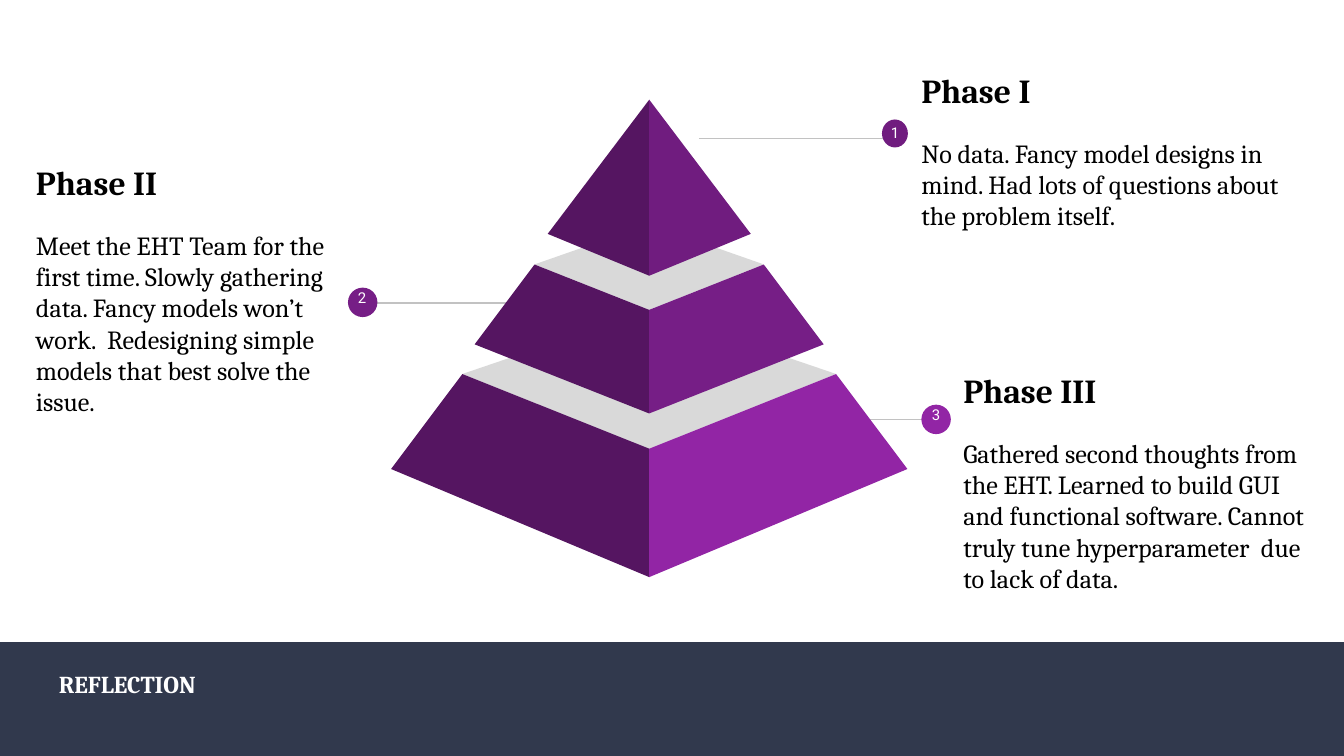
from dataclasses import dataclass

import pptx
import pptx.dml.color
import pptx.enum.shapes
import pptx.enum.text
import pptx.util
from lxml import etree
from pptx.oxml.ns import qn

Pt = pptx.util.Pt
Shape = pptx.enum.shapes.MSO_SHAPE
Anchor = pptx.enum.text.MSO_ANCHOR
Align = pptx.enum.text.PP_ALIGN

Box = tuple[float, float, float, float]
Point = tuple[float, float]

SERIF, SANS = "Cambria", "Roboto"
WHITE, BLACK, NAVY = "FFFFFF", "000000", "31394D"
RULE, LID, SHADE = "C2C2C2", "D9D9D9", "551561"
AXIS = 347.8  # x of the pyramid's centre edge


@dataclass
class Phase:
    number: str
    title: str
    body: str
    text_box: Box
    line: tuple[float, float, float]  # from x, to x, y
    dot: Box
    number_box: Box
    color: str


@dataclass
class Tier:
    """Left halves of the lid and face, as (distance from axis, y)."""
    lid: list[Point]
    face: list[Point]
    color: str


PHASES = [
    Phase("3", "Phase III",
          "Gathered second thoughts from the EHT. Learned to build GUI and functional "
          "software. Cannot truly tune hyperparameter  due to lack of data.",
          (509, 187.2, 198.7, 141.8), (463, 509, 224.7),
          (493.6, 216.8, 15.8, 15.8), (491.8, 212.4, 19.4, 24.5), "9225A5"),
    Phase("2", "Phase II",
          "Meet the EHT Team for the first time. Slowly gathering data. Fancy models "
          "won’t work.  Redesigning simple models that best solve the issue.",
          (12.2, 84.2, 172.8, 141.8), (273.6, 191.5, 162.4),
          (186.4, 154.1, 15.8, 15.8), (184.3, 149.8, 19.4, 24.5), "761E86"),
    Phase("1", "Phase I",
          "No data. Fancy model designs in mind. Had lots of questions about the "
          "problem itself.",
          (486.5, 17.3, 211.7, 126.7), (374.4, 485.3, 74.2),
          (472.5, 64, 13.9, 15), (468, 61.2, 23, 20.2), "701C7F"),
]

TIERS = [
    Tier([(0, 166.3), (100.1, 200.4), (0, 240.4)],
         [(100.1, 200.4), (138.3, 251.3), (0, 309.2), (0, 240.4)], "9225A5"),
    Tier([(0, 120.2), (61.4, 141.7), (0, 166)],
         [(61.4, 141.7), (93.5, 184.5), (0, 221.5), (0, 166)], "761E86"),
    Tier([], [(0, 53.4), (54.4, 125.3), (0, 147.7)], "701C7F"),
]


def rgb(value: str) -> pptx.dml.color.RGBColor:
    return pptx.dml.color.RGBColor.from_string(value)


def paint(sp, color: str) -> None:
    sp.shadow.inherit = False
    sp.fill.solid()
    sp.fill.fore_color.rgb = rgb(color)
    sp.line.fill.background()


def add_shape(s, kind, box: Box, color: str) -> None:
    paint(s.shapes.add_shape(kind, *map(Pt, box)), color)


def add_text_frame(s, box: Box, anchor):
    tf = s.shapes.add_textbox(*map(Pt, box)).text_frame
    margins = {f"margin_{side}": Pt(7.2) for side in ("left", "top", "right", "bottom")}
    for name, value in {"word_wrap": True, "vertical_anchor": anchor, **margins}.items():
        setattr(tf, name, value)
    return tf


def write(p, text: str, size: float, color: str, font: str = SERIF,
          bold: bool = False, after: float = 0, align=Align.LEFT) -> None:
    p.alignment, p.space_after = align, Pt(after)
    r = p.add_run()
    r.text = text
    for name, value in {"size": Pt(size), "name": font, "bold": bold}.items():
        setattr(r.font, name, value)
    r.font.color.rgb = rgb(color)


def add_rule(s, x1: float, x2: float, y: float) -> None:
    line = s.shapes.add_connector(pptx.enum.shapes.MSO_CONNECTOR.STRAIGHT,
                                  Pt(x1), Pt(y), Pt(x2), Pt(y))
    line.line.width = Pt(0.75)
    line.line.color.rgb = rgb(RULE)
    etree.SubElement(line._element.spPr, qn("a:effectLst"))


def add_phase(s, phase: Phase) -> None:
    add_rule(s, *phase.line)
    tf = add_text_frame(s, phase.text_box, Anchor.MIDDLE)
    write(tf.paragraphs[0], phase.title, 18, BLACK, bold=True, after=14.4)
    write(tf.add_paragraph(), phase.body, 14, BLACK, after=16)
    add_shape(s, Shape.OVAL, phase.dot, phase.color)
    tf = add_text_frame(s, phase.number_box, Anchor.TOP)
    write(tf.paragraphs[0], phase.number, 8, WHITE, SANS, after=16, align=Align.CENTER)


def add_polygon(s, points: list[Point], color: str) -> None:
    corners = [(Pt(x), Pt(y)) for x, y in points]
    fb = s.shapes.build_freeform(*corners[0])
    fb.add_line_segments(corners[1:], close=True)
    paint(fb.convert_to_shape(), color)


def half(points: list[Point], side: int) -> list[Point]:
    """Place axis distances to the left (-1) or right (1) of the axis."""
    return [(AXIS + side * dx, y) for dx, y in points]


def add_tier(s, tier: Tier) -> None:
    if tier.lid:
        add_polygon(s, half(tier.lid, -1) + half(tier.lid[1:2], 1), LID)
    for side, color in ((-1, SHADE), (1, tier.color)):
        add_polygon(s, half(tier.face, side), color)


def main() -> None:
    prs = pptx.Presentation()
    prs.slide_width, prs.slide_height = Pt(720), Pt(405)
    s = prs.slides.add_slide(prs.slide_layouts[6])
    add_shape(s, Shape.RECTANGLE, (0, 344, 720, 61), NAVY)
    tf = add_text_frame(s, (24.5, 348.5, 628.6, 36), Anchor.MIDDLE)
    write(tf.paragraphs[0], "REFLECTION", 13, WHITE, bold=True)
    for phase in PHASES:
        add_phase(s, phase)
    for tier in TIERS:
        add_tier(s, tier)
    prs.save("out.pptx")


if __name__ == "__main__":
    main()
